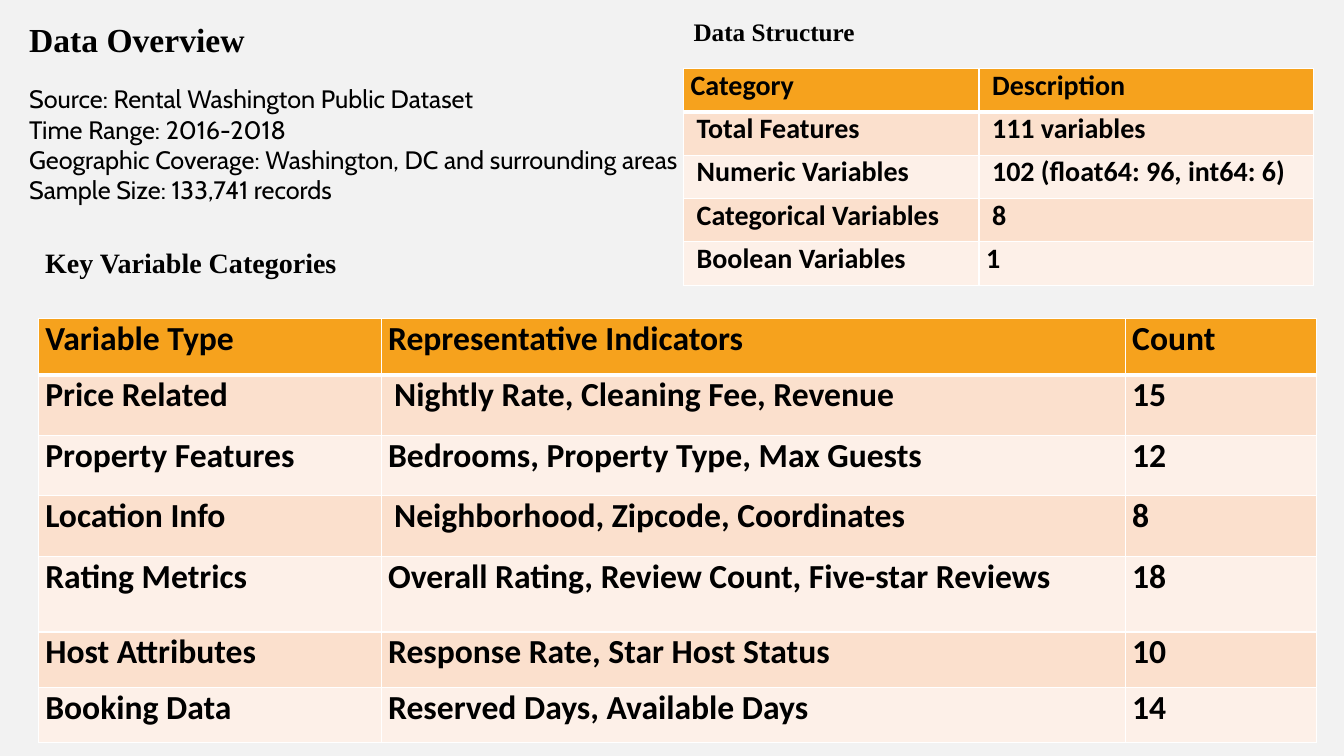
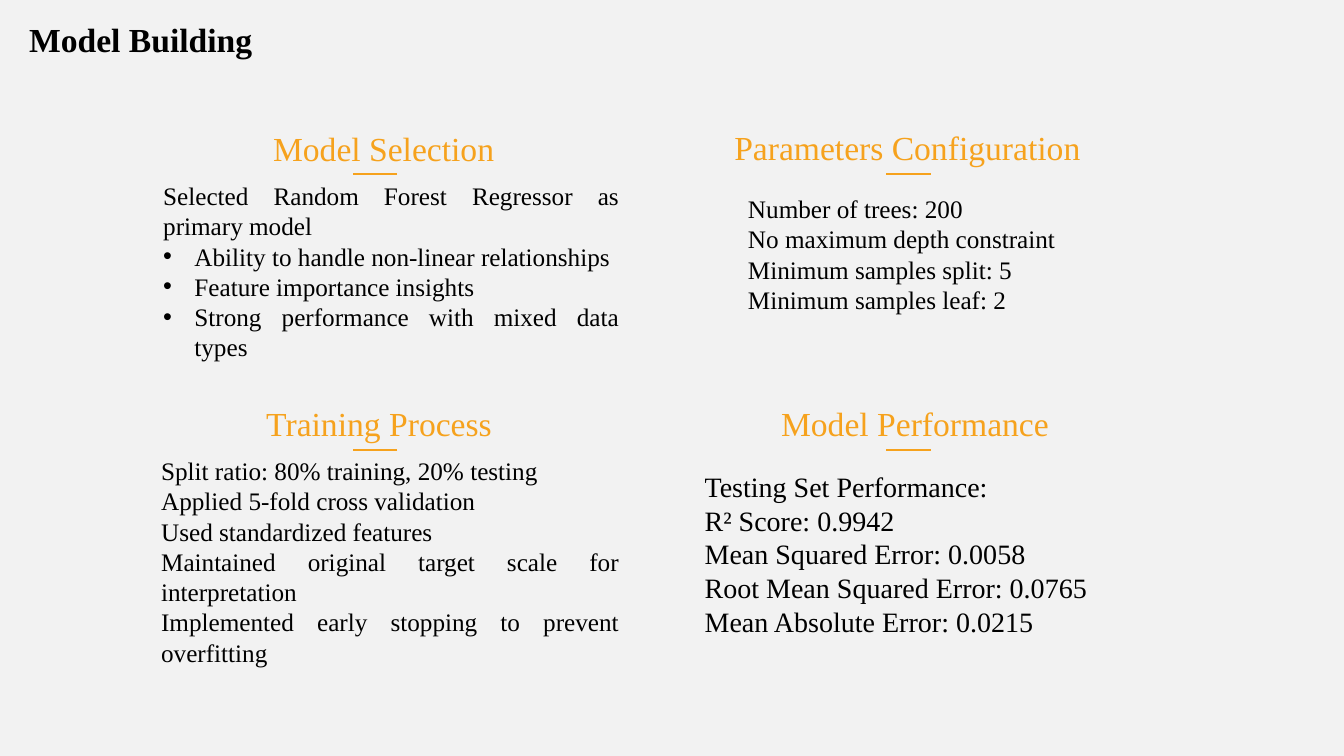
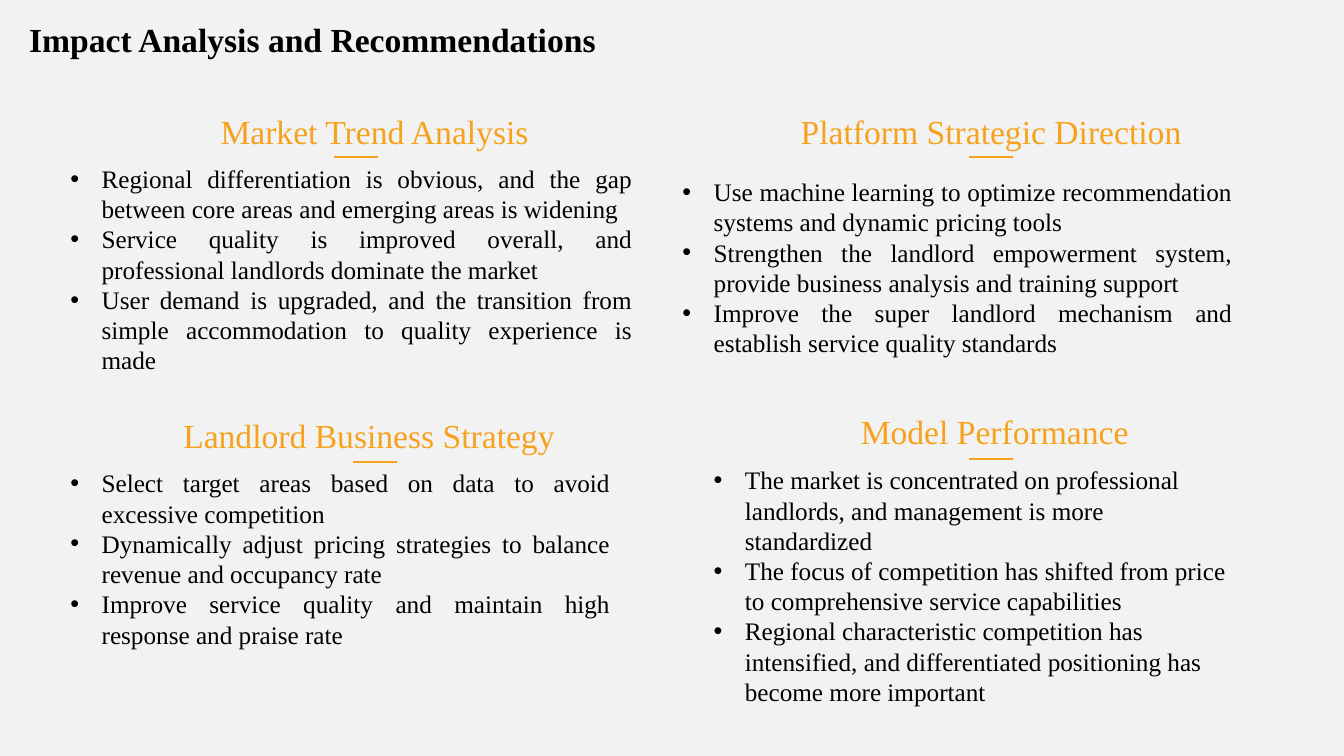
from lxml import etree
from pptx import Presentation
from pptx.dml.color import RGBColor
from pptx.enum.shapes import MSO_CONNECTOR
from pptx.enum.text import MSO_AUTO_SIZE, PP_ALIGN
from pptx.oxml.ns import qn
from pptx.util import Pt

PX = 9144  # 100 px to the inch
COLORS = {
    "background": "F2F2F2",
    "text": "000000",
    "accent": "F6A21D",
    "band_dark": "FBE0CD",
    "band_light": "FDF0E8",
    "border": "FFFFFF",
}
SERIF = "Times New Roman"
LEFT, CENTER, JUSTIFY = PP_ALIGN.LEFT, PP_ALIGN.CENTER, PP_ALIGN.JUSTIFY
BULLET_INDENT = 31
UNDERLINE_WIDTH = 44


def color(name):
    return RGBColor.from_string(COLORS[name])


def add_text(slide, box, lines, size, font=SERIF, tint="text", bold=False,
             align=LEFT, first_bullet=None):
    """Add a text box; lines from index first_bullet onwards get bullets."""
    frame = slide.shapes.add_textbox(*[n * PX for n in box]).text_frame
    frame.word_wrap = True
    frame.auto_size = MSO_AUTO_SIZE.SHAPE_TO_FIT_TEXT
    frame.text = "\n".join(lines)
    for index, paragraph in enumerate(frame.paragraphs):
        paragraph.alignment = align
        if first_bullet is not None and index >= first_bullet:
            properties = paragraph._p.get_or_add_pPr()
            properties.set("marL", str(BULLET_INDENT * PX))
            properties.set("indent", str(-BULLET_INDENT * PX))
            etree.SubElement(properties, qn("a:buFont"), typeface="Arial")
            etree.SubElement(properties, qn("a:buChar"), char="•")
        for run in paragraph.runs:
            run.font.name = font
            run.font.size = Pt(size)
            run.font.bold = bold
            run.font.color.rgb = color(tint)


prs = Presentation()
prs.slide_width = 1333 * PX
prs.slide_height = 750 * PX
background = prs.slide_master.background.fill
background.solid()
background.fore_color.rgb = color("background")

slides = []
for title, width in [("Data Overview", 258), ("Model Building", 421),
                     ("Impact Analysis and Recommendations", 617)]:
    slide = prs.slides.add_slide(prs.slide_layouts[6])
    add_text(slide, (19, 14, width, 50), [title], 24, bold=True)
    slides.append(slide)
overview, model, impact = slides

# Data overview
add_text(overview, (19, 78, 667, 161), [
    "Source: Rental Washington Public Dataset",
    "Time Range: 2016-2018",
    "Geographic Coverage: Washington, DC and surrounding areas",
    "Sample Size: 133,741 records",
], 18, font="Cabin")
add_text(overview, (678, 11, 208, 40), ["Data Structure"], 18, bold=True)
add_text(overview, (35, 239, 399, 44), ["Key Variable Categories"], 20, bold=True)

structure_rows = [
    ("Category", "Description"),
    ("Total Features", "111 variables"),
    ("Numeric Variables", "102 (float64: 96, int64: 6)"),
    ("Categorical Variables", "8"),
    ("Boolean Variables", "1"),
]
variable_rows = [
    ("Variable Type", "Representative Indicators", "Count"),
    ("Price Related", "Nightly Rate, Cleaning Fee, Revenue", "15"),
    ("Property Features", "Bedrooms, Property Type, Max Guests", "12"),
    ("Location Info", "Neighborhood, Zipcode, Coordinates", "8"),
    ("Rating Metrics", "Overall Rating, Review Count, Five-star Reviews", "18"),
    ("Host Attributes", "Response Rate, Star Host Status", "10"),
    ("Booking Data", "Reserved Days, Available Days", "14"),
]
structure_indented = {(r, c) for r in range(5) for c in range(2)} - {(0, 0), (4, 1)}
variable_indented = {(1, 1), (3, 1)}

# left, top, column widths, row heights, text size, rows, indented cells
tables = [
    (678, 68, [293, 332], [43] * 5, 20, structure_rows, structure_indented),
    (38, 316, [340, 738, 190], [56, 60, 60, 60, 75, 55, 55], 24,
     variable_rows, variable_indented),
]
for left, top, widths, heights, size, rows, indented in tables:
    table = overview.shapes.add_table(
        len(rows), len(widths), left * PX, top * PX,
        sum(widths) * PX, sum(heights) * PX).table
    table.horz_banding = False
    for column, width in zip(table.columns, widths):
        column.width = width * PX
    for r, (row, height) in enumerate(zip(rows, heights)):
        table.rows[r].height = height * PX
        band = "accent" if r == 0 else "band_dark" if r % 2 else "band_light"
        for c, words in enumerate(row):
            cell = table.cell(r, c)
            cell.margin_left = (13 if (r, c) in indented else 7) * PX
            cell.margin_right = 7 * PX
            cell.margin_top = cell.margin_bottom = 0
            for side in ("L", "R", "T", "B"):
                under_header = (r, side) in {(0, "B"), (1, "T")}
                border = etree.SubElement(
                    cell._tc.get_or_add_tcPr(), qn(f"a:ln{side}"),
                    w=str(Pt(3 if under_header else 1)))
                paint = etree.SubElement(border, qn("a:solidFill"))
                etree.SubElement(paint, qn("a:srgbClr"), val=COLORS["border"])
            cell.fill.solid()
            cell.fill.fore_color.rgb = color(band)
            cell.text_frame.text = words
            paragraph = cell.text_frame.paragraphs[0]
            paragraph.alignment = JUSTIFY
            font = paragraph.runs[0].font
            font.name = "Calibri"
            font.size = Pt(size)
            font.bold = True
            font.color.rgb = color("text")

# slide, heading, heading box, underline start, body box, body size,
# body alignment, first bulleted line, body lines
sections = [
    (model, "Model Selection", (207, 122, 347, 50), (350, 173),
     (152, 174, 472, 222), 18, JUSTIFY, 1, [
         "Selected Random Forest Regressor as primary model",
         "Ability to handle non-linear relationships",
         "Feature importance insights",
         "Strong performance with mixed data types"]),
    (model, "Parameters Configuration", (637, 121, 526, 50), (879, 173),
     (732, 187, 362, 131), 18, JUSTIFY, None, [
         "Number of trees: 200",
         "No maximum depth constraint",
         "Minimum samples split: 5",
         "Minimum samples leaf: 2"]),
    (model, "Training Process", (198, 395, 356, 50), (350, 446),
     (150, 447, 474, 222), 18, JUSTIFY, None, [
         "Split ratio: 80% training, 20% testing",
         "Applied 5-fold cross validation",
         "Used standardized features",
         "Maintained original target scale for interpretation",
         "Implemented early stopping to prevent overfitting"]),
    (model, "Model Performance", (678, 395, 459, 50), (879, 446),
     (689, 461, 424, 178), 20, LEFT, None, [
         "Testing Set Performance:",
         "R² Score: 0.9942",
         "Mean Squared Error: 0.0058",
         "Root Mean Squared Error: 0.0765",
         "Mean Absolute Error: 0.0215"]),
    (impact, "Market Trend Analysis", (184, 105, 375, 50), (331, 156),
     (60, 157, 577, 222), 18, JUSTIFY, 0, [
         "Regional differentiation is obvious, and the gap between core areas "
         "and emerging areas is widening",
         "Service quality is improved overall, and professional landlords "
         "dominate the market",
         "User demand is upgraded, and the transition from simple "
         "accommodation to quality experience is made"]),
    (impact, "Platform Strategic Direction", (720, 105, 526, 50), (961, 156),
     (667, 170, 565, 192), 18, JUSTIFY, 0, [
         "Use machine learning to optimize recommendation systems and dynamic "
         "pricing tools",
         "Strengthen the landlord empowerment system, provide business "
         "analysis and training support",
         "Improve the super landlord mechanism and establish service quality "
         "standards"]),
    (impact, "Landlord Business Strategy", (125, 407, 482, 50), (350, 458),
     (60, 459, 555, 192), 18, JUSTIFY, 0, [
         "Select target areas based on data to avoid excessive competition",
         "Dynamically adjust pricing strategies to balance revenue and "
         "occupancy rate",
         "Improve service quality and maintain high response and praise rate"]),
    (impact, "Model Performance", (757, 403, 459, 50), (961, 455),
     (698, 456, 535, 252), 18, LEFT, 0, [
         "The market is concentrated on professional landlords, and "
         "management is more standardized",
         "The focus of competition has shifted from price to comprehensive "
         "service capabilities",
         "Regional characteristic competition has intensified, and "
         "differentiated positioning has become more important"]),
]
for (slide, heading, heading_box, (x, y), body_box, size, align,
     first_bullet, lines) in sections:
    underline = slide.shapes.add_connector(
        MSO_CONNECTOR.STRAIGHT, (x + UNDERLINE_WIDTH) * PX, y * PX, x * PX, y * PX)
    underline.line.color.rgb = color("accent")
    underline.line.width = Pt(1.5)
    etree.SubElement(underline._element.spPr, qn("a:effectLst"))
    add_text(slide, heading_box, [heading], 24, tint="accent", align=CENTER)
    add_text(slide, body_box, lines, size, align=align, first_bullet=first_bullet)

prs.save("out.pptx")
